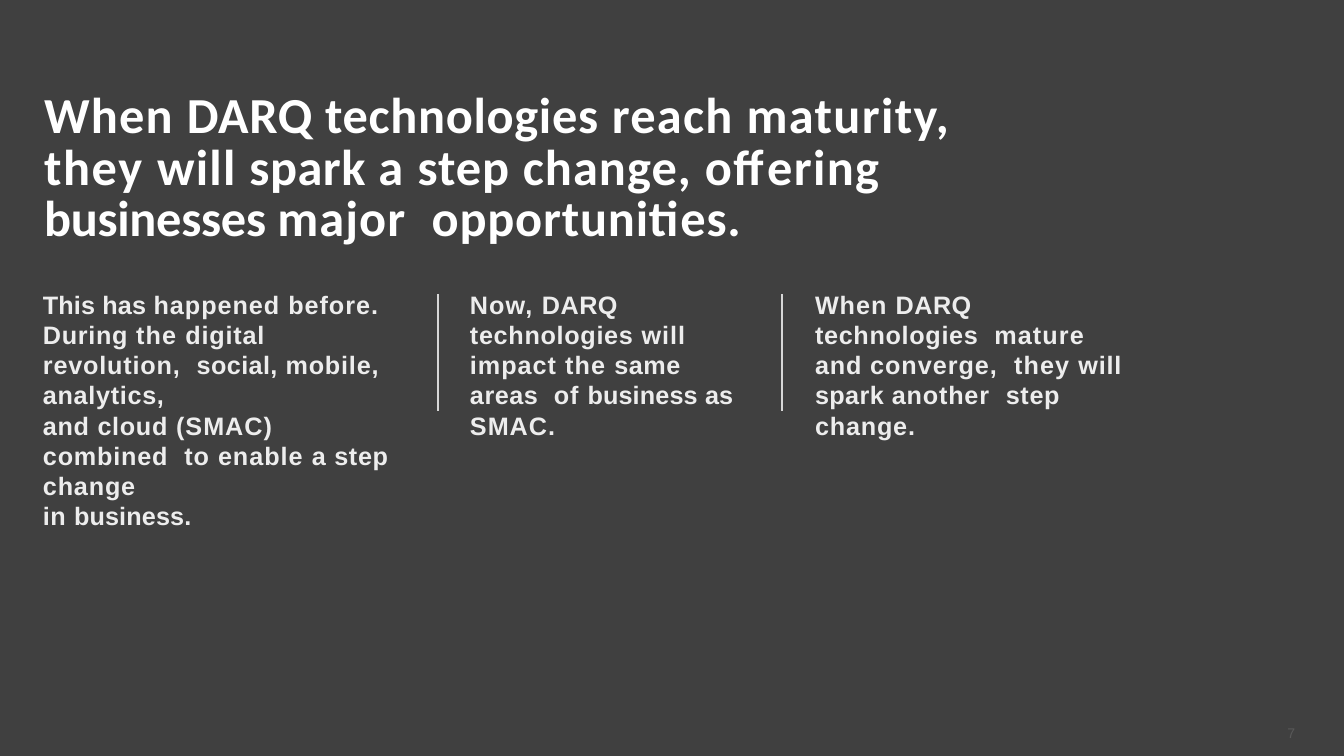
import pptx
import pptx.dml.color
import pptx.enum.shapes
import pptx.enum.text
import pptx.oxml.ns
import pptx.util
from lxml import etree

RGBColor = pptx.dml.color.RGBColor
Align = pptx.enum.text.PP_ALIGN
Anchor = pptx.enum.text.MSO_ANCHOR
AutoSize = pptx.enum.text.MSO_AUTO_SIZE
Pt = pptx.util.Pt

BACKGROUND = RGBColor(0x40, 0x40, 0x40)
WHITE = RGBColor(0xFF, 0xFF, 0xFF)
BODY_GREY = RGBColor(0xED, 0xED, 0xED)
RULE_GREY = RGBColor(0xD7, 0xD7, 0xD7)
NUMBER_GREY = RGBColor(0x59, 0x59, 0x59)

# Each paragraph is a list of (text, letter spacing in points)
TITLE = [[
    ("When ", 0.9), ("DARQ technologies ", 0.5), ("reach ", 0.9), ("maturity, ", 1),
    ("they ", 1.2), ("will ", 0.9), ("spark ", 0.4), ("a ", 1.1), ("step ", 0.7),
    ("change, ", 0.8), ("offering ", 1), ("businesses ", -0.2), ("major  ", 0.8),
    ("opportunities.", 0.6),
]]
BEFORE = [
    [("This has ", 0.1), ("happened before. ", 0.7), ("During ", 0.5), ("the ", 0.8),
     ("digital revolution,  ", 0.6), ("social, ", 0.3), ("mobile, ", 0.6), ("analytics,", 0.5)],
    [("and cloud ", 0.5), ("(SMAC) ", 0.7), ("combined  ", 0.6), ("to enable ", 0.7),
     ("a step ", 0.5), ("change", 0.6)],
    [("in ", 0.4), ("business.", 0.1)],
]
NOW = [
    [("Now, ", 0.8), ("DARQ", 0.4)],
    [("technologies ", 0.5), ("will impact ", 0.7), ("the ", 0.8), ("same areas  ", 0.4),
     ("of ", 0.7), ("business ", 0.1), ("as ", -0.1), ("SMAC.", 0.7)],
]
NEXT = [[
    ("When ", 0.7), ("DARQ ", 0.4), ("technologies  ", 0.5), ("mature ", 0.8), ("and ", 0.6),
    ("converge,  ", 0.7), ("they ", 0.8), ("will ", 0.6), ("spark ", 0.3), ("another  ", 0.6),
    ("step ", 0.5), ("change.", 0.6),
]]
# Left, width, height and text of each column
COLUMNS = [(42, 363, 184, BEFORE), (469, 281, 124, NOW), (814, 326, 124, NEXT)]
COLUMN_TOP = 288
RULE_LEFTS = (438, 782)


def px(length):
    return round(length * 914400 / 100.8)


def set_values(target, values):
    for name, value in values.items():
        setattr(target, name, value)


class SlideBuilder:
    TITLE_FONT = {"name": "Calibri", "size": Pt(36), "bold": True}
    BODY_FONT = {"name": "Arial", "size": Pt(18), "bold": True}
    NUMBER_FONT = {"name": "Arial", "size": Pt(10), "bold": False}

    def __init__(self, slide):
        self.slide = slide
        slide.background.fill.solid()
        slide.background.fill.fore_color.rgb = BACKGROUND

    def fill_text(self, shape, box, paragraphs, font, color, frame, paragraph_format):
        set_values(shape, dict(zip(("left", "top", "width", "height"), map(px, box))))
        text_frame = shape.text_frame
        set_values(text_frame, {
            "word_wrap": True, "auto_size": AutoSize.SHAPE_TO_FIT_TEXT,
            "margin_left": 0, "margin_right": 0, "margin_bottom": 0, **frame})
        for index, pieces in enumerate(paragraphs):
            paragraph = text_frame.add_paragraph() if index else text_frame.paragraphs[0]
            set_values(paragraph, {"space_before": Pt(0), **paragraph_format})
            properties = paragraph._p.get_or_add_pPr()
            properties.set("marL", str(px(1)))
            properties.set("indent", "0")
            for text, spacing in pieces:
                run = paragraph.add_run()
                run.text = text
                set_values(run.font, font)
                run.font.color.rgb = color
                run._r.get_or_add_rPr().set("spc", str(round(spacing * 100)))

    def title(self, box, paragraphs):
        self.fill_text(self.slide.shapes.title, box, paragraphs, self.TITLE_FONT, WHITE,
                       {"margin_top": px(11), "vertical_anchor": Anchor.MIDDLE},
                       {"alignment": Align.LEFT, "line_spacing": Pt(36.7)})

    def text(self, box, paragraphs, font=BODY_FONT, color=BODY_GREY, alignment=Align.LEFT):
        shape = self.slide.shapes.add_textbox(0, 0, 0, 0)
        self.fill_text(shape, box, paragraphs, font, color,
                       {"margin_top": px(1), "vertical_anchor": Anchor.TOP},
                       {"alignment": alignment})

    def vertical_rule(self, left, top, bottom):
        rule = self.slide.shapes.add_connector(
            pptx.enum.shapes.MSO_CONNECTOR.STRAIGHT, px(left), px(top), px(left), px(bottom))
        rule.line.color.rgb = RULE_GREY
        rule.line.width = Pt(0.96)
        etree.SubElement(rule._element.spPr, pptx.oxml.ns.qn("a:effectLst"))


def main():
    presentation = pptx.Presentation()
    presentation.slide_width = px(1344)
    presentation.slide_height = px(756)
    title_only = presentation.slide_layouts[5]
    builder = SlideBuilder(presentation.slides.add_slide(title_only))

    # Headline
    builder.title((43, 80, 1018, 168), TITLE)

    # Three columns with rules between them
    for left, width, height, paragraphs in COLUMNS:
        builder.text((left, COLUMN_TOP, width, height), paragraphs)
    for left in RULE_LEFTS:
        builder.vertical_rule(left, 294, 411)

    # Slide number
    builder.text((1255, 724, 40, 18), [[("7", 0)]],
                 SlideBuilder.NUMBER_FONT, NUMBER_GREY, Align.RIGHT)

    presentation.save("out.pptx")


if __name__ == "__main__":
    main()
